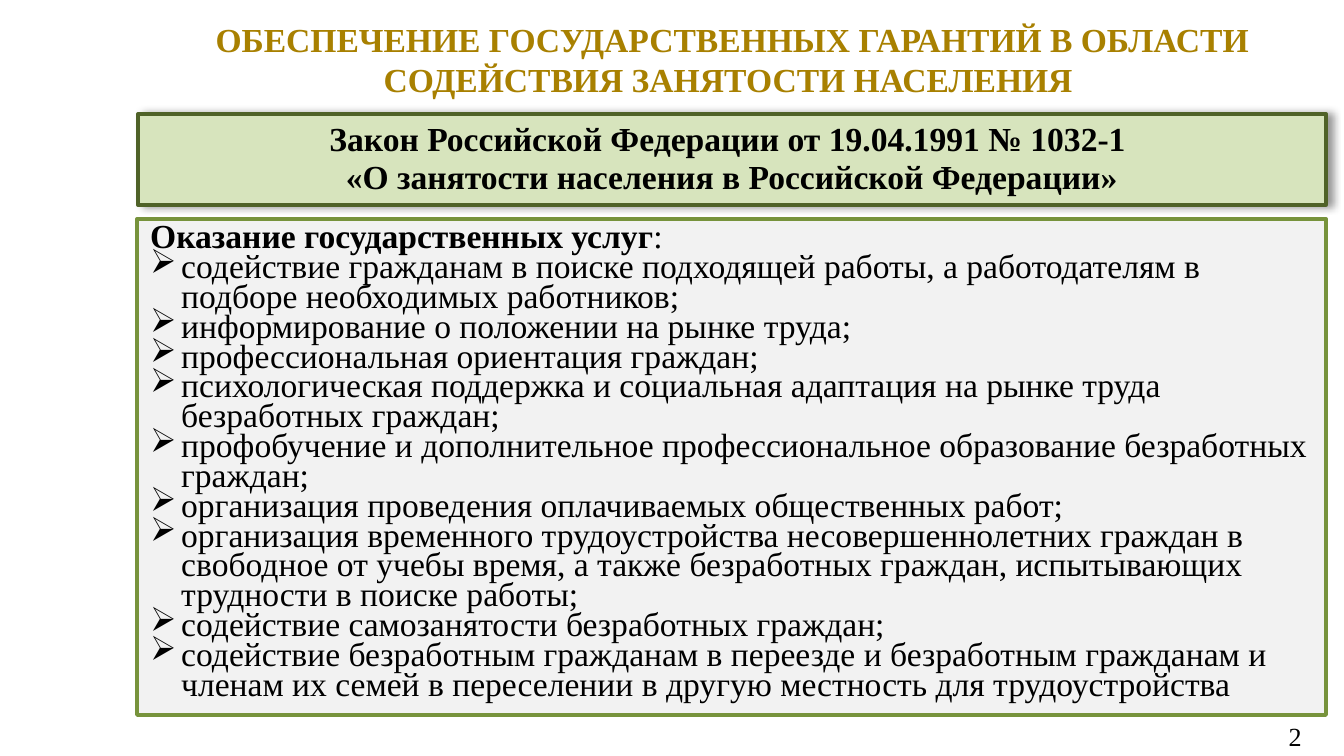
import lxml.etree
import pptx
import pptx.dml.color
import pptx.enum.shapes
import pptx.enum.text
import pptx.oxml.ns
import pptx.util

PX = 914400 / 134.4
FONT = "Times New Roman"
COLORS = {
    "black": "000000",
    "title": "A88000",
    "law_fill": "D7E4BD",
    "law_line": "4F6228",
    "services_fill": "F2F2F2",
    "services_line": "77933C",
}
ALIGN = pptx.enum.text.PP_ALIGN
SERVICES = [
    "содействие гражданам в поиске подходящей работы, а работодателям в подборе необходимых работников;",
    "информирование о положении на рынке труда;",
    "профессиональная ориентация граждан;",
    "психологическая поддержка и социальная адаптация на рынке труда безработных граждан;",
    "профобучение и дополнительное профессиональное образование безработных граждан;",
    "организация проведения оплачиваемых общественных работ;",
    "организация временного трудоустройства несовершеннолетних граждан в свободное от учебы время, "
    "а также безработных граждан, испытывающих трудности в поиске работы;",
    "содействие самозанятости безработных граждан;",
    "содействие безработным гражданам в переезде и безработным гражданам и членам их семей "
    "в переселении в другую местность для трудоустройства",
]


def add_box(left, top, width, height, fill=None, line=None):
    """Add a rectangle, or a plain text box when no fill is given."""
    place = [round(value * PX) for value in (left, top, width, height)]
    if fill:
        shape = slide.shapes.add_shape(pptx.enum.shapes.MSO_SHAPE.RECTANGLE, *place)
        shape.fill.solid()
        shape.fill.fore_color.rgb = pptx.dml.color.RGBColor.from_string(COLORS[fill])
        shape.line.color.rgb = pptx.dml.color.RGBColor.from_string(COLORS[line])
        shape.line.width = pptx.util.Pt(2)
        shape.shadow.inherit = False
    else:
        shape = slide.shapes.add_textbox(*place)
    shape.text_frame.word_wrap = True
    shape.text_frame.vertical_anchor = pptx.enum.text.MSO_ANCHOR.TOP
    return shape


def style(paragraph, alignment, size=18, bold=None, color="black"):
    paragraph.alignment = alignment
    paragraph.font.name = FONT
    paragraph.font.size = pptx.util.Pt(size)
    paragraph.font.bold = bold
    paragraph.font.color.rgb = pptx.dml.color.RGBColor.from_string(COLORS[color])


presentation = pptx.Presentation()
presentation.slide_width = round(1344 * PX)
presentation.slide_height = round(756 * PX)
slide = presentation.slides.add_slide(presentation.slide_layouts[6])

# Page number and title
number = add_box(1267, 716, 48, 40)
number.text_frame.vertical_anchor = pptx.enum.text.MSO_ANCHOR.MIDDLE
number.text_frame.text = "2"
style(number.text_frame.paragraphs[0], ALIGN.RIGHT, size=14)

title = add_box(149, 12, 1167, 95)
title.text_frame.text = "ОБЕСПЕЧЕНИЕ ГОСУДАРСТВЕННЫХ ГАРАНТИЙ В ОБЛАСТИ СОДЕЙСТВИЯ ЗАНЯТОСТИ НАСЕЛЕНИЯ "
style(title.text_frame.paragraphs[0], ALIGN.CENTER, bold=True, color="title")

# Law, with a soft shadow to the right
law = add_box(138, 114, 1188, 91, "law_fill", "law_line")
effects = law._element.spPr.find(pptx.oxml.ns.qn("a:effectLst"))
shadow = lxml.etree.SubElement(
    effects, pptx.oxml.ns.qn("a:outerShdw"),
    blurRad=str(pptx.util.Pt(4)), dist=str(pptx.util.Pt(3)), dir="0", algn="l", rotWithShape="0")
shadow_color = lxml.etree.SubElement(shadow, pptx.oxml.ns.qn("a:srgbClr"), val=COLORS["black"])
lxml.etree.SubElement(shadow_color, pptx.oxml.ns.qn("a:alpha"), val="40000")
law.text_frame.text = (
    "Закон Российской Федерации от 19.04.1991 № 1032-1 \n"
    "«О занятости населения в Российской Федерации»")
for paragraph in law.text_frame.paragraphs:
    paragraph.line_spacing = 0.95
    style(paragraph, ALIGN.CENTER, bold=True)

# Services: a heading and a bulleted list
services = add_box(137, 219, 1189, 496, "services_fill", "services_line")
heading = services.text_frame.paragraphs[0]
heading_run = heading.add_run()
heading_run.text = "Оказание государственных услуг"
heading_run.font.bold = True
heading.add_run().text = ":"
for service in SERVICES:
    paragraph = services.text_frame.add_paragraph()
    paragraph.text = service
    properties = paragraph._p.get_or_add_pPr()
    properties.set("marL", str(round(31 * PX)))
    properties.set("indent", str(round(-31 * PX)))
    lxml.etree.SubElement(properties, pptx.oxml.ns.qn("a:buChar"), char="➢")
for paragraph in services.text_frame.paragraphs:
    paragraph.line_spacing = pptx.util.Pt(16)
    style(paragraph, ALIGN.LEFT)

presentation.save("out.pptx")
